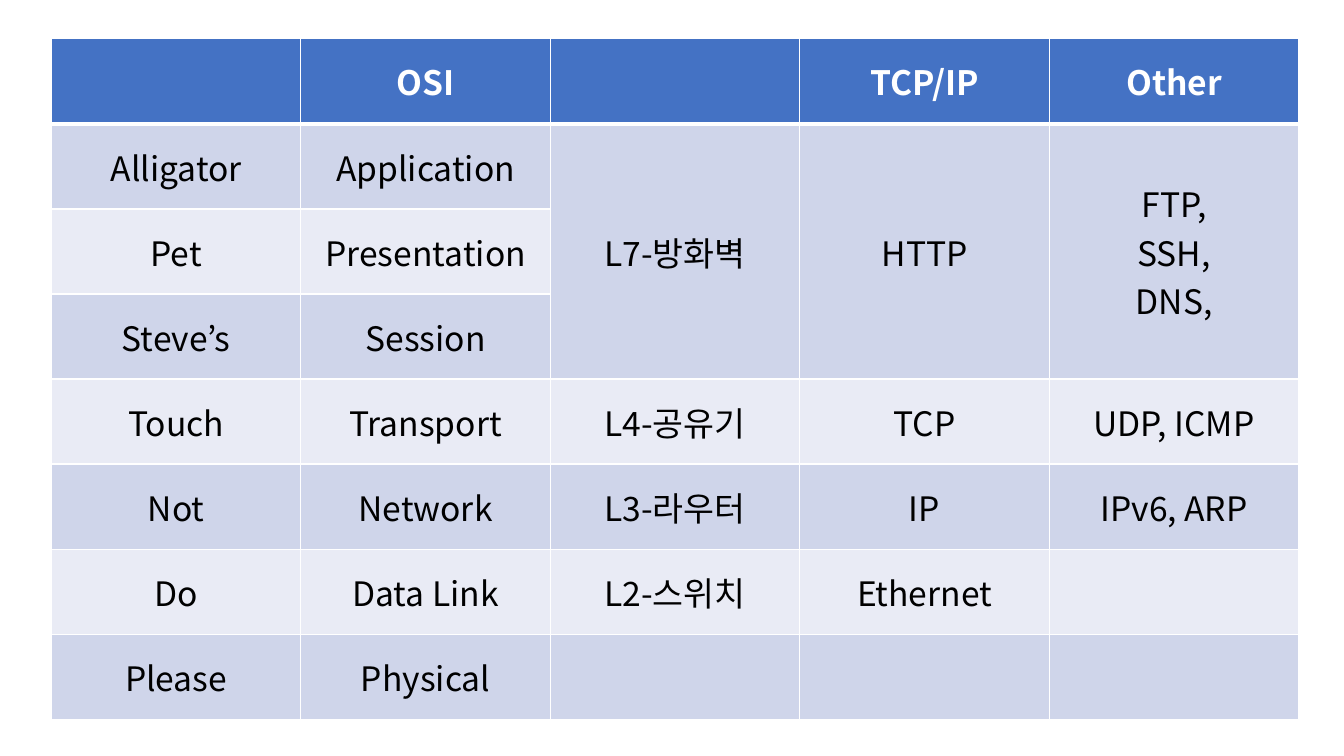
from dataclasses import dataclass

from lxml.etree import SubElement
from pptx import Presentation
from pptx.dml.color import RGBColor
from pptx.enum.text import MSO_ANCHOR, PP_ALIGN
from pptx.oxml import parse_xml
from pptx.oxml.ns import nsdecls, qn
from pptx.table import Table, _Cell
from pptx.util import Emu, Pt

WHITE = RGBColor(0xFF, 0xFF, 0xFF)
BLACK = RGBColor(0x00, 0x00, 0x00)
BLUE = RGBColor(0x44, 0x72, 0xC4)
BAND_DARK = RGBColor(0xCF, 0xD5, 0xEA)
BAND_LIGHT = RGBColor(0xE9, 0xEB, 0xF5)
FONT = "Noto Sans CJK KR"
TEXT_FORMAT = {"name": FONT, "size": Pt(24)}
MERGED_COLUMNS = range(2, 5)
MERGED_ROWS = (1, 3)


@dataclass(frozen=True)
class Layer:
    mnemonic: str
    osi: str
    device: str = ""
    tcp_ip: str = ""
    other: str = ""

    def texts(self) -> list[str]:
        return [self.mnemonic, self.osi, self.device, self.tcp_ip, self.other]


@dataclass(frozen=True)
class RowStyle:
    fill: RGBColor
    color: RGBColor = BLACK
    bold: bool = False
    top: int = 1
    bottom: int = 1


LAYERS = [
    Layer("", "OSI", "", "TCP/IP", "Other"),
    Layer("Alligator", "Application", "L7-방화벽", "HTTP", "FTP,\nSSH,\nDNS,"),
    Layer("Pet", "Presentation"),
    Layer("Steve’s", "Session"),
    Layer("Touch", "Transport", "L4-공유기", "TCP", "UDP, ICMP"),
    Layer("Not", "Network", "L3-라우터", "IP", "IPv6, ARP"),
    Layer("Do", "Data Link", "L2-스위치", "Ethernet"),
    Layer("Please", "Physical"),
]


def px(n: int) -> Emu:
    return Emu(n * 9525)


def row_style(row: int) -> RowStyle:
    if row == 0:
        return RowStyle(BLUE, WHITE, True, bottom=3)
    return RowStyle(BAND_DARK if row % 2 else BAND_LIGHT, top=3 if row == 1 else 1)


def set_borders(cell: _Cell, style: RowStyle) -> None:
    tc_pr = cell._tc.get_or_add_tcPr()
    widths = {"lnL": 1, "lnR": 1, "lnT": style.top, "lnB": style.bottom}
    for i, (tag, width) in enumerate(widths.items()):
        tc_pr.insert(i, parse_xml(
            f'<a:{tag} {nsdecls("a")} w="{Pt(width)}"><a:solidFill>'
            f'<a:srgbClr val="{WHITE}"/></a:solidFill></a:{tag}>'))


def fill_cell(cell: _Cell, text: str, style: RowStyle) -> None:
    cell.fill.solid()
    cell.fill.fore_color.rgb = style.fill
    set_borders(cell, style)
    cell.vertical_anchor = MSO_ANCHOR.MIDDLE
    if not text:
        return
    tf = cell.text_frame
    tf.text = text
    for p in tf.paragraphs:
        p.alignment = PP_ALIGN.CENTER
        for r in p.runs:
            for key, value in {**TEXT_FORMAT, "bold": style.bold}.items():
                setattr(r.font, key, value)
            r.font.color.rgb = style.color
            SubElement(r._r.get_or_add_rPr(), qn("a:ea"), typeface=FONT)


def fill_table(table: Table) -> None:
    for row, layer in enumerate(LAYERS):
        for col, text in enumerate(layer.texts()):
            fill_cell(table.cell(row, col), text, row_style(row))
    first, last = MERGED_ROWS
    for col in MERGED_COLUMNS:
        table.cell(first, col).merge(table.cell(last, col))


def main() -> None:
    prs = Presentation()
    prs.slide_width, prs.slide_height = px(1280), px(720)
    s = prs.slides.add_slide(prs.slide_layouts[6])
    columns = len(LAYERS[0].texts())
    frame = s.shapes.add_table(len(LAYERS), columns, px(49), px(37), px(1188), px(648))
    fill_table(frame.table)
    prs.save("out.pptx")


if __name__ == "__main__":
    main()
